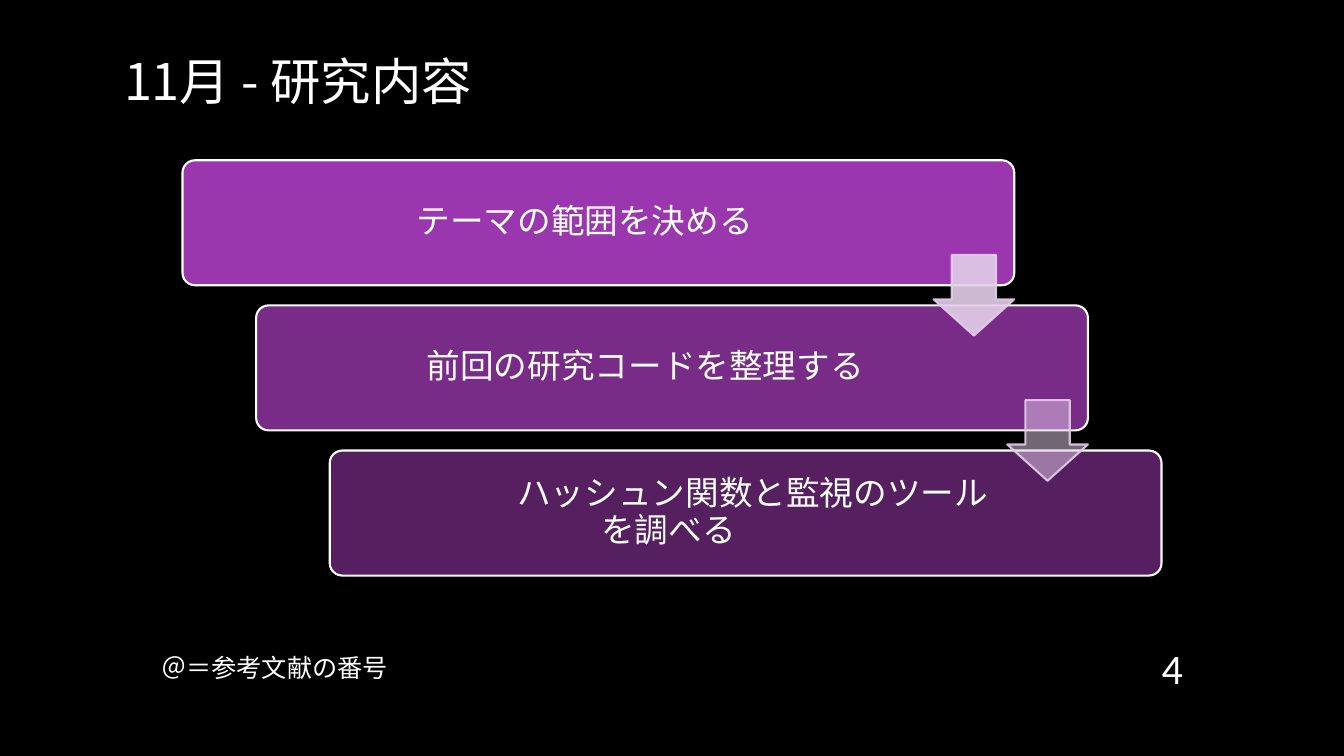
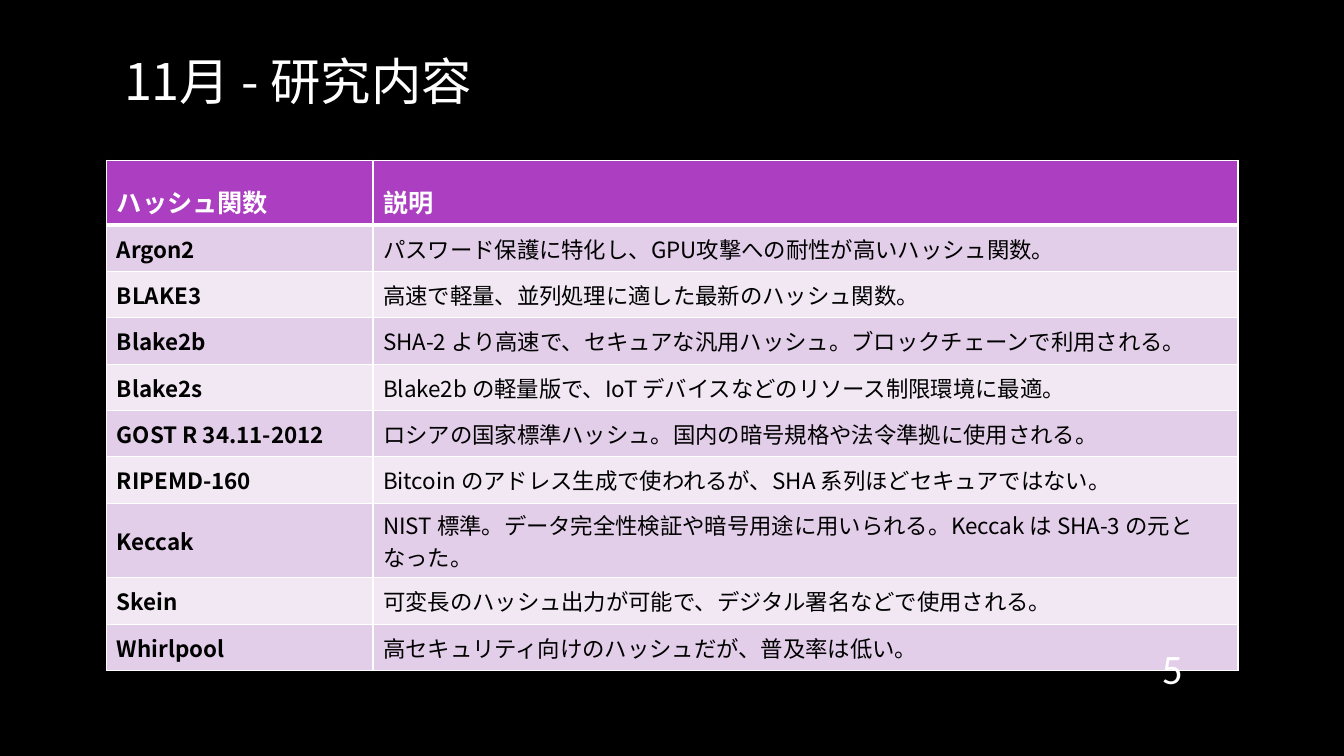
"""Build the two November research slides: a three-step plan and a table of hash functions."""
from lxml.etree import SubElement
from pptx import Presentation
from pptx.dml.color import RGBColor as RGB
from pptx.enum.shapes import MSO_SHAPE as SHAPE
from pptx.enum.text import MSO_ANCHOR as ANCHOR, PP_ALIGN as ALIGN
from pptx.oxml.ns import qn
from pptx.util import Inches, Pt

COLORS = {
    "background": "000000",
    "light": "FFFFFF",
    "dark": "000000",
    "accent": "AC3EC1",
    "pale": "E3CEE9",
    "paler": "F1E8F4",
}
JAPANESE = "Noto Sans CJK JP"


def write(frame, text, size, color="light", face=JAPANESE, bold=False, align=ALIGN.LEFT):
    frame.text = text
    frame.vertical_anchor = ANCHOR.MIDDLE
    paragraph = frame.paragraphs[0]
    paragraph.alignment = align
    font = paragraph.font
    font.size, font.bold, font.name = Pt(size), bold, face
    font.color.rgb = RGB.from_string(COLORS[color])
    defaults = paragraph._p.pPr.find(qn("a:defRPr"))
    SubElement(defaults, qn("a:ea"), typeface=face)
    return paragraph


def paint(shape, fill, line, opacities):
    shape.shadow.inherit = False
    shape.fill.solid()
    shape.fill.fore_color.rgb = RGB.from_string(COLORS[fill])
    shape.line.color.rgb = RGB.from_string(COLORS[line])
    shape.line.width = Pt(1.5)
    for color, opacity in zip(shape.element.spPr.iter(qn("a:srgbClr")), opacities):
        SubElement(color, qn("a:alpha"), val=str(opacity * 1000))


prs = Presentation()
prs.slide_width, prs.slide_height = Inches(13.33), Inches(7.5)
backdrop = prs.slide_master.background.fill
backdrop.solid()
backdrop.fore_color.rgb = RGB.from_string(COLORS["background"])

layout = prs.slide_layouts[5]
heading = layout.placeholders[0]
heading.left, heading.top = Inches(1.13), Inches(0)
heading.width, heading.height = Inches(11.08), Inches(1.59)

plan, hashes = [prs.slides.add_slide(layout) for _ in range(2)]
for slide in (plan, hashes):
    write(slide.shapes.title.text_frame, "11月 - 研究内容", 36)

STEPS = [
    ("テーマの範囲を決める", 90, 1, 1.37),
    ("前回の研究コードを整理する", 70, 1, 1.63),
    ("ハッシュン関数と監視のツールを調べる", 50, 1.67, 1.63),
]
LEFT, TOP, STEP_X, STEP_Y = 1.81, 1.59, 0.73, 1.44
WIDTH, HEIGHT, ARROW = 8.25, 1.24, 0.8

for i, (task, opacity, indent, right_margin) in enumerate(STEPS):
    step = plan.shapes.add_shape(
        SHAPE.ROUNDED_RECTANGLE, Inches(LEFT + i * STEP_X), Inches(TOP + i * STEP_Y),
        Inches(WIDTH), Inches(HEIGHT))
    step.adjustments[0] = 0.1
    paint(step, "accent", "light", (opacity, 100))
    frame = step.text_frame
    frame.word_wrap = True
    frame.margin_left, frame.margin_right = Inches(0.1), Inches(right_margin)
    paragraph = write(frame, task, 24, align=ALIGN.CENTER)
    paragraph.line_spacing = 0.9
    paragraph._p.pPr.set("indent", str(Inches(indent)))

for i, opacity in enumerate((90, 50)):
    arrow = plan.shapes.add_shape(
        SHAPE.DOWN_ARROW, Inches(LEFT + WIDTH - ARROW + i * STEP_X),
        Inches(TOP + 0.94 + i * STEP_Y), Inches(ARROW), Inches(ARROW))
    arrow.adjustments[0], arrow.adjustments[1] = 0.55, 0.45
    paint(arrow, "pale", "pale", (opacity, 90))

legend = plan.shapes.add_textbox(Inches(1.5), Inches(6.42), Inches(2.52), Inches(0.4))
legend.text_frame.word_wrap = True
write(legend.text_frame, "＠＝参考文献の番号", 18)

ROWS = [
    ("ハッシュ関数", "説明"),
    ("Argon2", "パスワード保護に特化し、GPU攻撃への耐性が高いハッシュ関数。"),
    ("BLAKE3", "高速で軽量、並列処理に適した最新のハッシュ関数。"),
    ("Blake2b", "SHA-2 より高速で、セキュアな汎用ハッシュ。ブロックチェーンで利用される。"),
    ("Blake2s", "Blake2b の軽量版で、IoT デバイスなどのリソース制限環境に最適。"),
    ("GOST R 34.11-2012", "ロシアの国家標準ハッシュ。国内の暗号規格や法令準拠に使用される。"),
    ("RIPEMD-160", "Bitcoin のアドレス生成で使われるが、SHA 系列ほどセキュアではない。"),
    ("Keccak", "NIST 標準。データ完全性検証や暗号用途に用いられる。Keccak は SHA-3 の元となった。"),
    ("Skein", "可変長のハッシュ出力が可能で、デジタル署名などで使用される。"),
    ("Whirlpool", "高セキュリティ向けのハッシュだが、普及率は低い。"),
]
table = hashes.shapes.add_table(
    len(ROWS), 2, Inches(1.06), Inches(1.59), Inches(11.22), Inches(4.39)).table
table.columns[0].width, table.columns[1].width = Inches(2.64), Inches(8.58)

for r, row in enumerate(ROWS):
    header = r == 0
    table.rows[r].height = Inches(0.25 if header else 0.46)
    band = "accent" if header else ("paler", "pale")[r % 2]
    for c, text in enumerate(row):
        cell = table.cell(r, c)
        paragraph = write(cell.text_frame, text, 18 if header else 16,
                          "light" if header else "dark", bold=header or c == 0)
        if header:
            paragraph.line_spacing = 1.5
        cell.vertical_anchor = ANCHOR.MIDDLE
        properties = cell._tc.get_or_add_tcPr()
        for side in "LRTB":
            thick = (header and side == "B") or (r == 1 and side == "T")
            border = SubElement(properties, qn(f"a:ln{side}"), w=str(Pt(3 if thick else 1)))
            ink = SubElement(border, qn("a:solidFill"))
            SubElement(ink, qn("a:srgbClr"), val=COLORS["light"])
        cell.fill.solid()
        cell.fill.fore_color.rgb = RGB.from_string(COLORS[band])

for number, slide in enumerate((plan, hashes), start=4):
    page = slide.shapes.add_textbox(Inches(11.23), Inches(6.42), Inches(0.6), Inches(0.41))
    page.text_frame.word_wrap = True
    write(page.text_frame, str(number), 30, face="Calibri", align=ALIGN.RIGHT)

prs.save("out.pptx")
